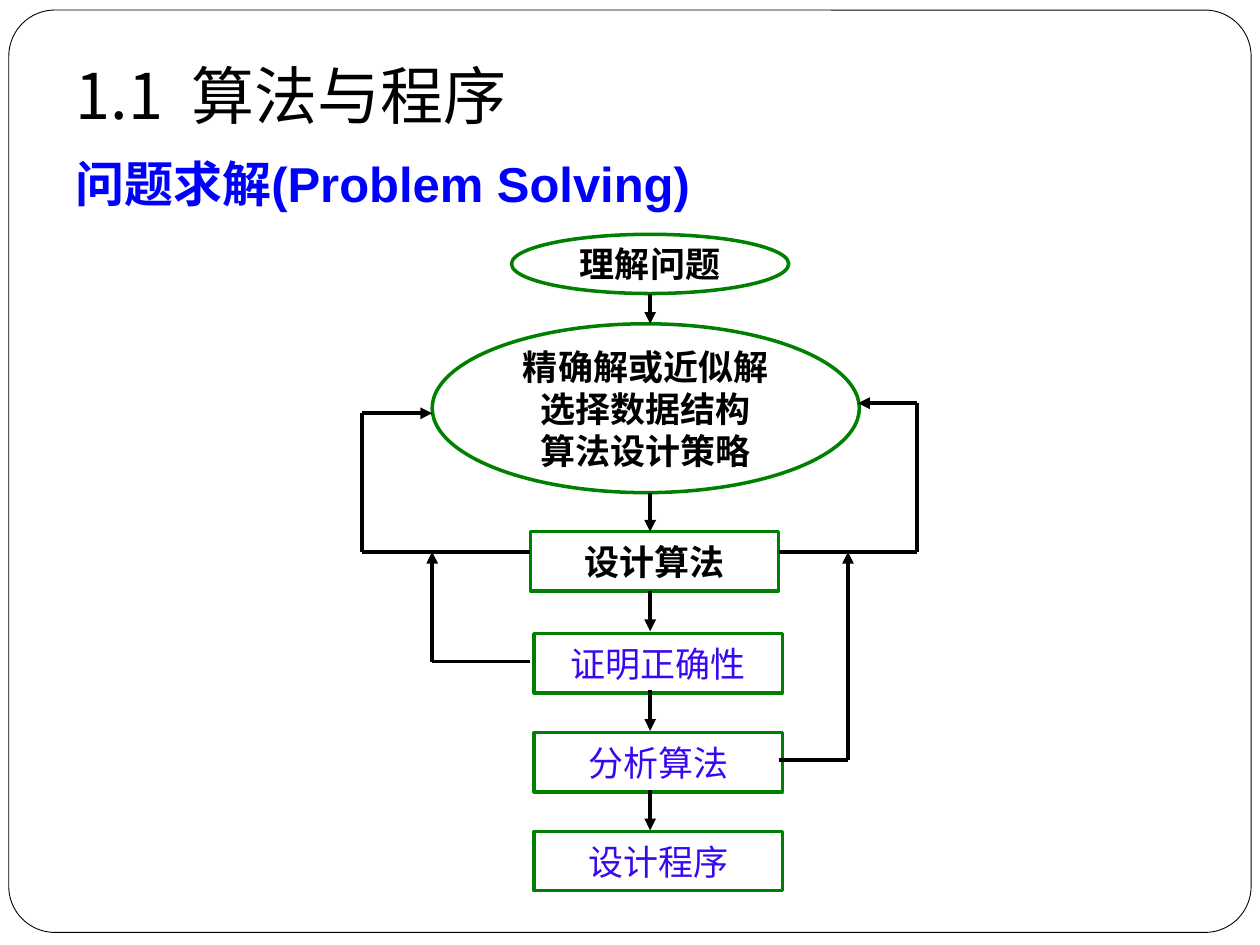
import pptx
import pptx.dml.color
import pptx.enum.shapes
import pptx.enum.text
import pptx.oxml
import pptx.oxml.ns
import pptx.util
from lxml import etree

Inches = pptx.util.Inches
Pt = pptx.util.Pt
RGBColor = pptx.dml.color.RGBColor
SHAPE = pptx.enum.shapes.MSO_SHAPE
ALIGN = pptx.enum.text.PP_ALIGN
ANCHOR = pptx.enum.text.MSO_ANCHOR
qn = pptx.oxml.ns.qn

BLACK = RGBColor(0x00, 0x00, 0x00)
WHITE = RGBColor(0xFF, 0xFF, 0xFF)
GREEN = RGBColor(0x00, 0x80, 0x00)
BLUE = RGBColor(0x00, 0x00, 0xFF)
VIOLET = RGBColor(0x39, 0x07, 0xF1)
CJK_FONT = "Noto Sans CJK SC"


def write_text(tf, text, size=20, color=BLACK, bold=False, font="Arial",
               align=ALIGN.CENTER, wrap=False):
    tf.word_wrap = wrap
    tf.auto_size = pptx.enum.text.MSO_AUTO_SIZE.NONE
    tf.vertical_anchor = ANCHOR.MIDDLE
    for i, line in enumerate(text.split("\n")):
        p = tf.paragraphs[0] if i == 0 else tf.add_paragraph()
        p.alignment = align
        p.space_before = Pt(0)
        r = p.add_run()
        r.text = line
        r.font.size = Pt(size)
        r.font.bold = bold
        r.font.name = font
        r.font.color.rgb = color
        ea = etree.SubElement(r.font._element, qn("a:ea"))
        ea.set("typeface", CJK_FONT)


class FlowSlide:
    def __init__(self, prs):
        self.s = prs.slides.add_slide(prs.slide_layouts[1])

    def shape(self, kind, x, y, w, h, line=GREEN, width=2):
        sp = self.s.shapes.add_shape(kind, Inches(x), Inches(y), Inches(w), Inches(h))
        sp.shadow.inherit = False
        sp.fill.solid()
        sp.fill.fore_color.rgb = WHITE
        sp.line.color.rgb = line
        sp.line.width = Pt(width)
        return sp

    def frame(self):
        sp = self.shape(SHAPE.ROUNDED_RECTANGLE, 0.07, 0.08, 9.86, 7.32, BLACK, 0.5)
        sp.adjustments[0] = 0.05
        self.s.shapes._spTree.insert(2, sp._element)  # behind the placeholders

    def node(self, kind, text, x, y, w, h, **style):
        write_text(self.shape(kind, x, y, w, h).text_frame, text, **style)

    def heading(self, sp, text, x, y, w, h, **style):
        sp.left, sp.top, sp.width, sp.height = map(Inches, (x, y, w, h))
        write_text(sp.text_frame, text, align=ALIGN.LEFT, wrap=True, **style)
        for p in sp.text_frame.paragraphs:
            pPr = p._p.get_or_add_pPr()
            pPr.set("marL", "0")
            pPr.set("indent", "0")
            etree.SubElement(pPr, qn("a:buNone"))

    def route(self, *points):
        """Straight segments through the points, with an arrowhead at the last one."""
        for start, end in zip(points, points[1:]):
            c = self.s.shapes.add_connector(
                pptx.enum.shapes.MSO_CONNECTOR.STRAIGHT,
                *map(Inches, start + end))
            c.line.color.rgb = BLACK
            c.line.width = Pt(2.25)
            if end == points[-1]:
                tail = etree.SubElement(c.line._get_or_add_ln(), qn("a:tailEnd"))
                tail.set("type", "triangle")
            etree.SubElement(c._element.spPr, qn("a:effectLst"))


def main():
    prs = pptx.Presentation()
    prs.slide_width, prs.slide_height = Inches(10), Inches(7.5)
    flow = FlowSlide(prs)

    # Frame and headings
    flow.frame()
    title, body = flow.s.placeholders
    flow.heading(title, "1.1  算法与程序", 0.5, 0.25, 9, 1, size=36, font=CJK_FONT)
    flow.heading(body, "问题求解(Problem Solving)", 0.5, 0.83, 9, 1.25,
                 size=28, color=BLUE, bold=True)

    # Later steps
    for i, step in enumerate(("证明正确性", "分析算法", "设计程序")):
        flow.node(SHAPE.RECTANGLE, step, 4.24, 5.03 + i * 0.785, 1.97, 0.47, color=VIOLET)

    # First steps
    flow.node(SHAPE.OVAL, "理解问题", 4.06, 1.86, 2.2, 0.47, bold=True)
    flow.node(SHAPE.OVAL, "精确解或近似解\n选择数据结构\n算法设计策略",
              3.43, 2.57, 3.39, 1.34, bold=True)
    flow.node(SHAPE.RECTANGLE, "设计算法", 4.21, 4.22, 1.97, 0.47, bold=True)

    # Downward arrows
    axis = 5.16
    for top, bottom in ((2.33, 2.57), (3.91, 4.22), (4.69, 5.01), (5.48, 5.8), (6.27, 6.59)):
        flow.route((axis, top), (axis, bottom))

    # Feedback loops
    left, right, back = 4.21, 6.18, 4.38
    flow.route((left, back), (2.87, back), (2.87, 3.28), (3.43, 3.28))
    flow.route((right, back), (7.28, back), (7.28, 3.2), (6.81, 3.2))
    flow.route((left, 5.25), (3.43, 5.25), (3.43, back))
    flow.route((right, 6.03), (6.73, 6.03), (6.73, back))

    prs.save("out.pptx")


if __name__ == "__main__":
    main()
